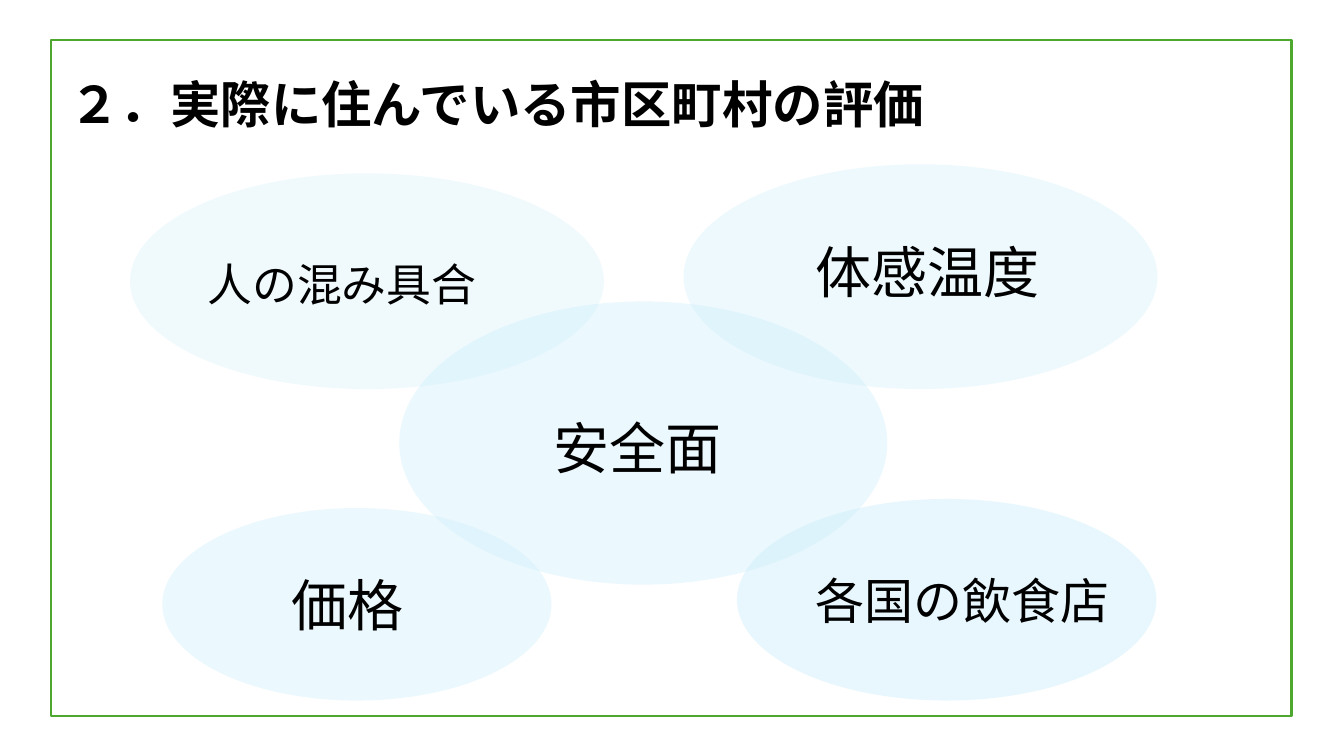
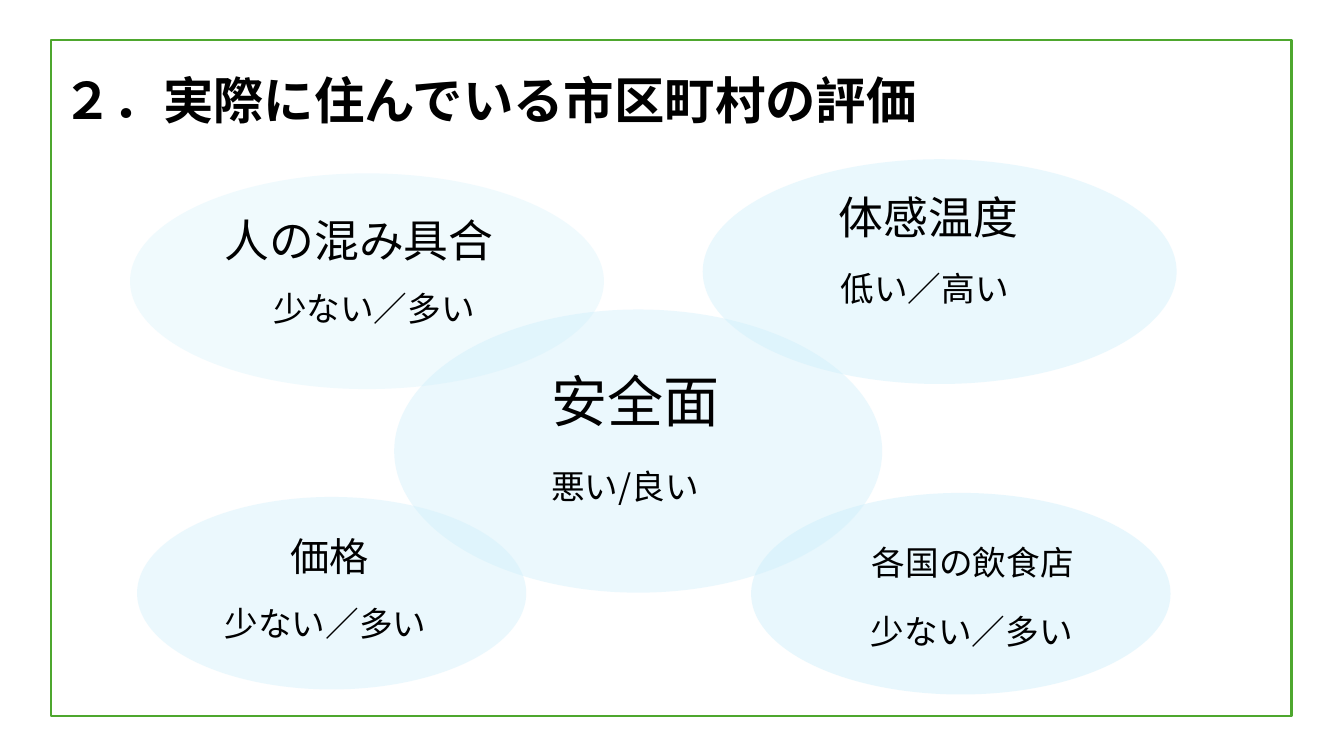
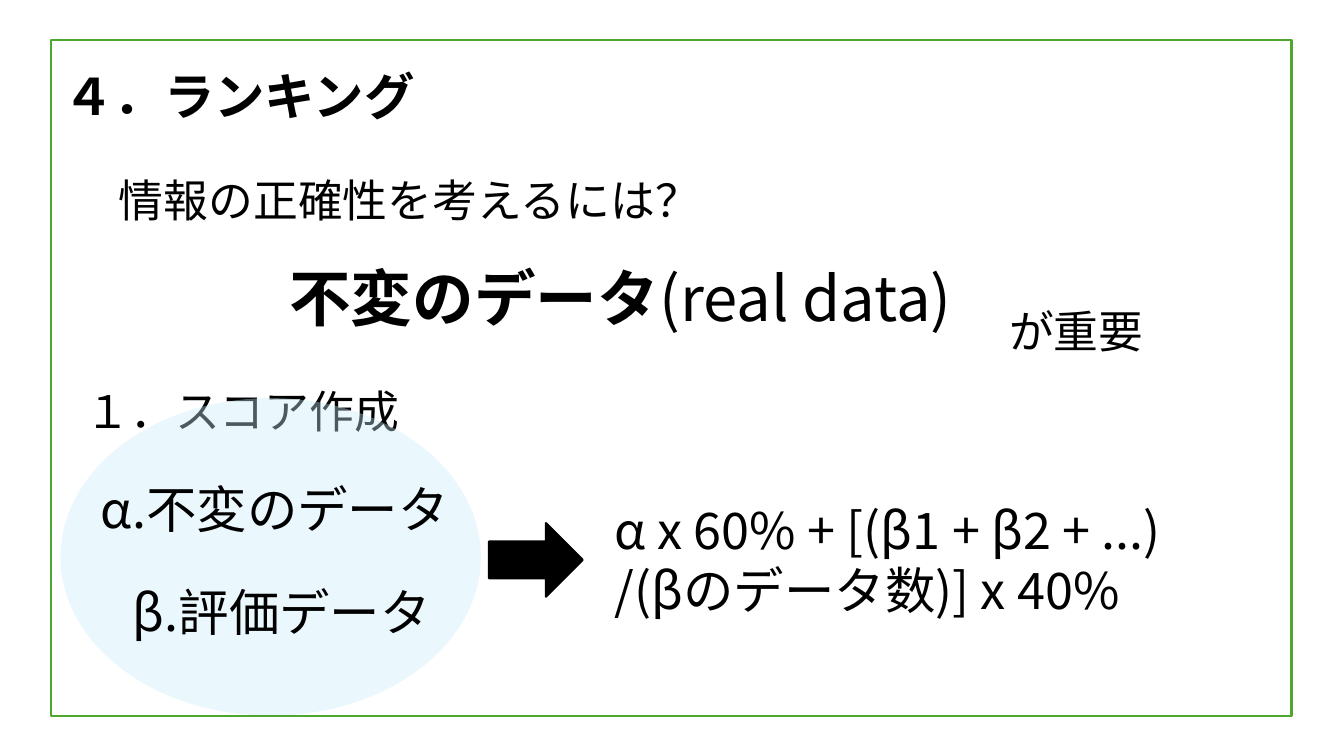
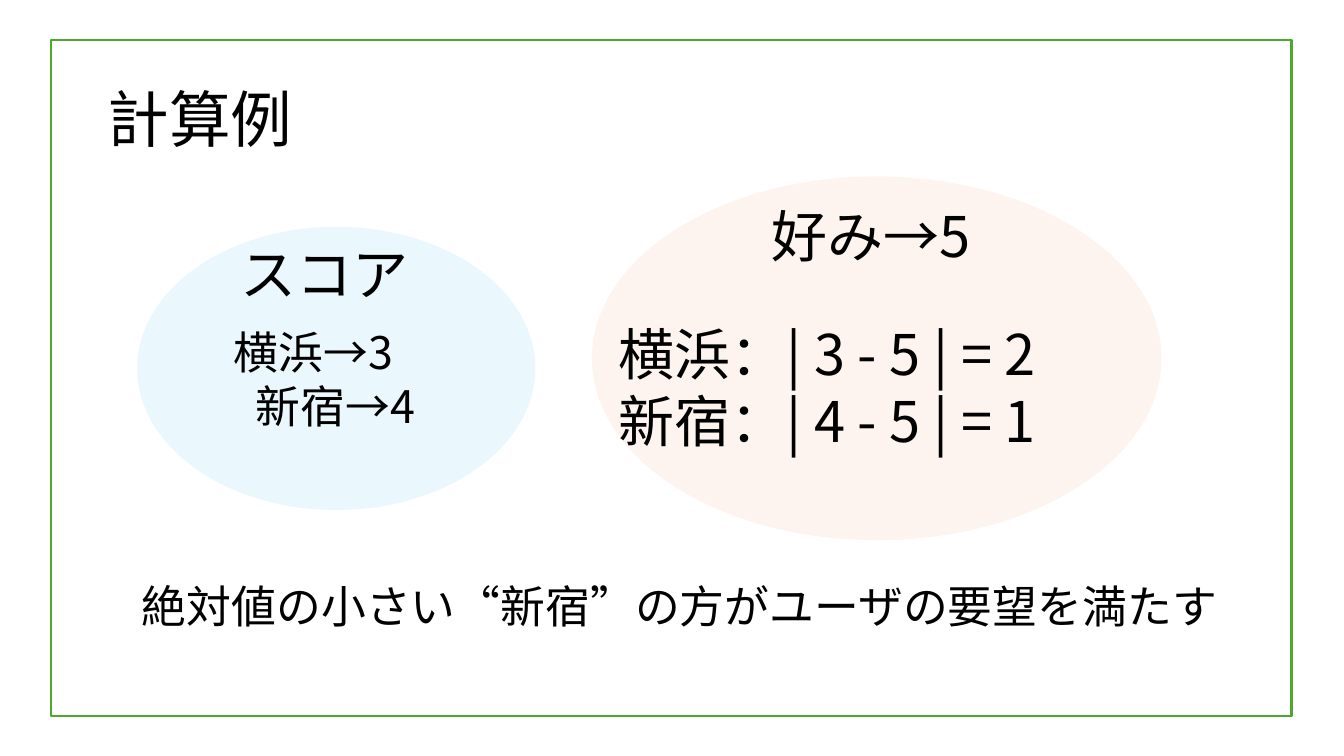
import pptx
import pptx.dml.color
import pptx.enum.shapes
import pptx.enum.text
import pptx.oxml.ns
import pptx.util
from lxml import etree

SHAPES = pptx.enum.shapes.MSO_SHAPE
ANCHOR = pptx.enum.text.MSO_ANCHOR
ALIGN = pptx.enum.text.PP_ALIGN
FIT = pptx.enum.text.MSO_AUTO_SIZE

EVALUATION_TITLE = "２．実際に住んでいる市区町村の評価"


def px(length):
    """Turn px, a hundred to the inch, into EMU."""
    return pptx.util.Emu(length * 9144)


def colour(code):
    """Turn a hex string into a colour."""
    return pptx.dml.color.RGBColor.from_string(code)


class Slides:
    """Hold the shared style and the current slide."""

    FONT = "Noto Sans CJK JP"
    BLACK = "000000"
    GREEN = "4EA72E"
    BLUE = "CAEEFB"
    PEACH = "FBE3D6"

    def __init__(self):
        """Start an empty widescreen deck."""
        self.deck = pptx.Presentation()
        self.deck.slide_width = px(1333)
        self.deck.slide_height = px(750)
        self.page = None

    def new_page(self):
        """Start a blank slide."""
        self.page = self.deck.slides.add_slide(self.deck.slide_layouts[6])

    def shape(self, kind, left, top, width, height, fill=None, line=None):
        """Add a preset shape without a shadow."""
        shape = self.page.shapes.add_shape(kind, px(left), px(top), px(width), px(height))
        shape.shadow.inherit = False
        if fill:
            shape.fill.solid()
            shape.fill.fore_color.rgb = colour(fill)
        else:
            shape.fill.background()
        if line:
            shape.line.color.rgb = colour(line)
            shape.line.width = pptx.util.Pt(1.5)
        else:
            shape.line.fill.background()
        return shape

    def frame(self):
        """Add the green outline around the slide."""
        self.shape(SHAPES.RECTANGLE, 51, 40, 1230, 670, line=self.GREEN)

    def arrow(self, left, top, width, height):
        """Add a black block arrow."""
        self.shape(SHAPES.RIGHT_ARROW, left, top, width, height, self.BLACK, self.BLACK)

    def bubble(self, left, top, width, height, opacity=38, fill=BLUE):
        """Add a see-through ellipse with its opacity in percent."""
        bubble = self.shape(SHAPES.OVAL, left, top, width, height, fill)
        tint = bubble.fill._xPr.find(".//" + pptx.oxml.ns.qn("a:srgbClr"))
        etree.SubElement(tint, pptx.oxml.ns.qn("a:alpha"), val=str(opacity * 1000))

    def style(self, span, size, bold):
        """Give a run the shared font and colour."""
        span.font.size = pptx.util.Pt(size)
        span.font.bold = bold
        span.font.color.rgb = colour(self.BLACK)
        span.font.name = self.FONT
        latin = span.font._element.find(pptx.oxml.ns.qn("a:latin"))
        latin.addnext(etree.Element(pptx.oxml.ns.qn("a:ea"), typeface=self.FONT))

    def box(self, left, top, width, height, words, size, bold=False):
        """Add a wrapping text box."""
        box = self.page.shapes.add_textbox(px(left), px(top), px(width), px(height))
        frame = box.text_frame
        frame.word_wrap = True
        frame.text = words
        for para in frame.paragraphs:
            for span in para.runs:
                self.style(span, size, bold)
        return frame

    def title(self, left, top, words):
        """Add the bold slide title."""
        frame = self.box(left, top, 1174, 114, words, 36, True)
        frame.vertical_anchor = ANCHOR.MIDDLE
        frame.paragraphs[0].line_spacing = 0.9

    def text(self, left, top, width, words, size, lines=1, bold=False, centred=False):
        """Add text in a box as high as its lines."""
        height = round(lines * size / 0.6) + 10
        frame = self.box(left, top, width, height, words, size, bold)
        frame.auto_size = FIT.SHAPE_TO_FIT_TEXT
        if centred:
            frame.paragraphs[0].alignment = ALIGN.CENTER
        return frame

    def evaluation(self, title_at, bubbles, labels):
        """Add a slide of overlapping bubbles with labels."""
        self.new_page()
        for bubble in bubbles:
            self.bubble(*bubble)
        self.title(*title_at, EVALUATION_TITLE)
        self.frame()
        for label in labels:
            self.text(*label)

    def ranking(self):
        """Add the slide on the ranking score."""
        self.new_page()
        self.title(53, 41, "４．ランキング")
        self.text(991, 296, 736, "が重要", 32)
        self.text(108, 166, 624, "情報の正確性を考えるには？", 32)
        self.text(-93, 376, 667, "１．スコア作成", 32, centred=True)
        self.bubble(60, 395, 417, 315)
        self.text(90, 469, 401, "α.不変のデータ", 36)
        self.text(122, 572, 337, "β.評価データ", 36)
        self.arrow(485, 519, 93, 73)
        self.text(600, 490, 864, "α x 60% + [(β1 + β2 + ...)\n/(βのデータ数)] x 40%", 36, 2)
        key_data = self.text(277, 253, 778, "不変のデータ", 44, bold=True)
        span = key_data.paragraphs[0].add_run()
        span.text = "(real data)"
        self.style(span, 44, False)
        self.frame()

    def example(self):
        """Add the slide with the worked example."""
        self.new_page()
        self.bubble(587, 175, 565, 361, fill=self.PEACH)
        self.bubble(136, 225, 395, 281)
        self.frame()
        self.text(131, 569, 1247, "絶対値の小さい“新宿”の方がユーザの要望を満たす", 32)
        self.text(205, 317, 256, "横浜→3　新宿→4", 32, 2, centred=True)
        self.text(755, 195, 262, "好み→5", 40)
        self.text(604, 312, 872, "横浜：| 3 - 5 | = 2\n新宿：| 4 - 5 | = 1", 40, 2)
        self.text(229, 233, 256, "スコア", 40)
        self.text(97, 75, 223, "計算例", 44)


def main():
    """Build the four slides and save them."""
    slides = Slides()
    slides.evaluation(
        (59, 49),
        [
            (731, 495, 416, 200, 42),
            (396, 299, 484, 281, 37),
            (161, 504, 386, 191, 36),
            (678, 163, 470, 223, 31),
            (129, 172, 470, 214, 28),
        ],
        [
            (279, 561, 386, "価格", 40),
            (196, 250, 386, "人の混み具合", 32),
            (799, 231, 386, "体感温度", 40),
            (539, 405, 386, "安全面", 40),
            (799, 561, 368, "各国の飲食店", 35),
        ],
    )
    slides.evaluation(
        (52, 45),
        [
            (745, 489, 416, 200, 42),
            (391, 307, 484, 281, 37),
            (136, 493, 386, 191, 36),
            (697, 158, 470, 223, 38),
            (129, 172, 470, 214, 28),
        ],
        [
            (278, 523, 386, "価格", 28),
            (213, 206, 386, "人の混み具合", 32),
            (822, 183, 386, "体感温度", 32),
            (537, 359, 386, "安全面", 40, 2),
            (855, 533, 368, "各国の飲食店", 24),
            (824, 261, 215, "低い／高い", 24),
            (261, 281, 233, "少ない／多い", 24),
            (854, 601, 235, "少ない／多い", 24),
            (537, 457, 248, "悪い/良い", 24),
            (213, 593, 236, "少ない／多い", 24),
        ],
    )
    slides.ranking()
    slides.example()
    slides.deck.save("out.pptx")


if __name__ == "__main__":
    main()
